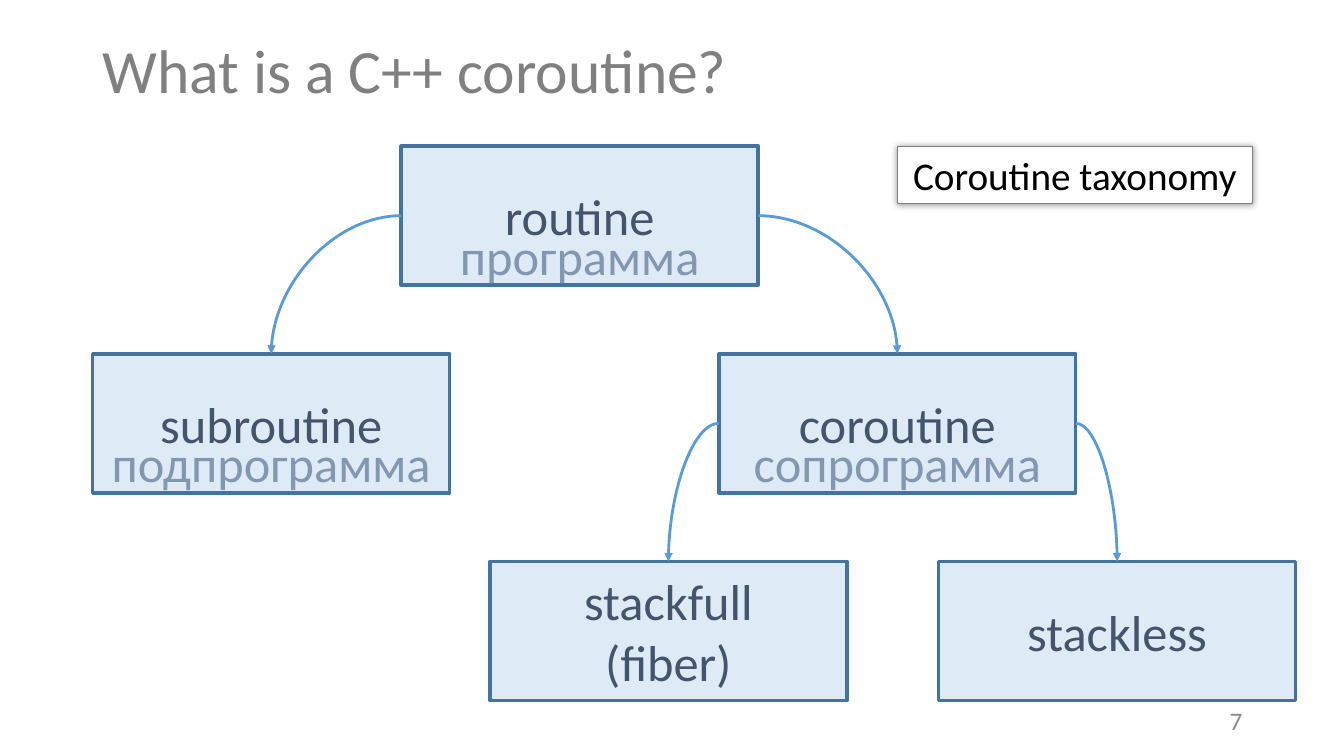
from lxml.etree import SubElement
from pptx import Presentation
from pptx.dml.color import RGBColor
from pptx.enum.shapes import MSO_CONNECTOR, MSO_SHAPE
from pptx.enum.text import MSO_ANCHOR, MSO_AUTO_SIZE, PP_ALIGN
from pptx.oxml.ns import qn
from pptx.util import Inches, Pt

FONT = "Calibri"
HEX = {
    "title": "808080", "fill": "DEEBF7", "edge": "43739E", "text": "44546A",
    "gloss": "8497B0", "arrow": "5B9BD5", "page": "8C8C8C",
    "white": "FFFFFF", "black": "000000",
}
BOX_W, BOX_H = 3.54, 1.38
TOP, STEP = 1.45, 2.06

# name: left, level, lines, Russian gloss
NODES = {
    "sub": (0.92, 1, ["subroutine"], "подпрограмма"),
    "root": (3.98, 0, ["routine"], "программа"),
    "co": (7.13, 1, ["coroutine"], "сопрограмма"),
    "full": (4.86, 2, ["stackfull", "(fiber)"], None),
    "less": (9.31, 2, ["stackless"], None),
}
# parent, side it leaves from (1 left, 3 right), child
LINKS = [("root", 1, "sub"), ("root", 3, "co"),
         ("co", 3, "less"), ("co", 1, "full")]


def color(name):
    return RGBColor.from_string(HEX[name])


def write(shape, lines, size, ink, align=PP_ALIGN.CENTER,
          anchor=MSO_ANCHOR.MIDDLE, space=None):
    frame = shape.text_frame
    frame.word_wrap = True
    frame.vertical_anchor = anchor
    for i, line in enumerate(lines):
        para = frame.paragraphs[0] if i == 0 else frame.add_paragraph()
        para.alignment = align
        para.line_spacing = space
        run = para.add_run()
        run.text = line
        run.font.name = FONT
        run.font.size = Pt(size)
        run.font.color.rgb = color(ink)


def add_text(slide, box, *args, **opts):
    shape = slide.shapes.add_textbox(*map(Inches, box))
    write(shape, *args, **opts)
    return shape


def add_box(slide, box, fill, edge, width):
    shape = slide.shapes.add_shape(MSO_SHAPE.RECTANGLE, *map(Inches, box))
    shape.shadow.inherit = False
    shape.fill.solid()
    shape.fill.fore_color.rgb = color(fill)
    shape.line.color.rgb = color(edge)
    shape.line.width = Pt(width)
    return shape


def add_arrow(slide, start, side, end):
    x = start.left + (start.width if side == 3 else 0)
    y = start.top + start.height // 2
    link = slide.shapes.add_connector(
        MSO_CONNECTOR.CURVE, x, y, end.left + end.width // 2, end.top)
    link.begin_connect(start, side)
    link.end_connect(end, 0)
    link.line.color.rgb = color("arrow")
    link.line.width = Pt(2)
    # Quarter curve, arrowhead, no shadow
    props = link._element.spPr
    props.find(qn("a:prstGeom")).set("prst", "curvedConnector2")
    SubElement(props.find(qn("a:ln")), qn("a:tailEnd"), type="triangle")
    SubElement(props, qn("a:effectLst"))


def add_title(slide, box):
    add_text(slide, box, ["What is a C++ coroutine?"], 44, "title",
             align=PP_ALIGN.LEFT, space=0.9)


def add_tree(slide):
    boxes = {}
    for name, (left, level, lines, _) in NODES.items():
        place = (left, TOP + level * STEP, BOX_W, BOX_H)
        boxes[name] = add_box(slide, place, "fill", "edge", 2.5)
        write(boxes[name], lines, 36, "text")
    for start, side, end in LINKS:
        add_arrow(slide, boxes[start], side, boxes[end])
    # Russian glosses over the lower part of the boxes
    for left, level, _, gloss in NODES.values():
        if gloss:
            place = (left, TOP + level * STEP + 0.73, BOX_W, 0.71)
            shape = add_text(slide, place, [gloss], 36, "gloss",
                             anchor=MSO_ANCHOR.TOP)
            shape.text_frame.auto_size = MSO_AUTO_SIZE.SHAPE_TO_FIT_TEXT


def add_label(slide, box):
    shape = add_box(slide, box, "white", "title", 0.75)
    write(shape, ["Coroutine taxonomy"], 28, "black", anchor=MSO_ANCHOR.TOP)
    shape.text_frame.auto_size = MSO_AUTO_SIZE.SHAPE_TO_FIT_TEXT
    # Soft glow-like shadow
    effects = shape._element.spPr.find(qn("a:effectLst"))
    shade = SubElement(effects, qn("a:outerShdw"),
                       blurRad=str(Pt(5)), dist="0", dir="0")
    tint = SubElement(shade, qn("a:srgbClr"), val=HEX["black"])
    SubElement(tint, qn("a:alpha"), val="40000")


def add_page(slide, box):
    add_text(slide, box, ["7"], 18, "page", align=PP_ALIGN.RIGHT)


def main():
    deck = Presentation()
    deck.slide_width, deck.slide_height = Inches(13.33), Inches(7.5)
    slide = deck.slides.add_slide(deck.slide_layouts[6])
    add_title(slide, (0.92, 0, 11.5, 1.45))
    add_tree(slide)
    add_page(slide, (9.42, 6.95, 3, 0.4))
    add_label(slide, (8.9, TOP, 3.52, 0.57))
    deck.save("out.pptx")


if __name__ == "__main__":
    main()
